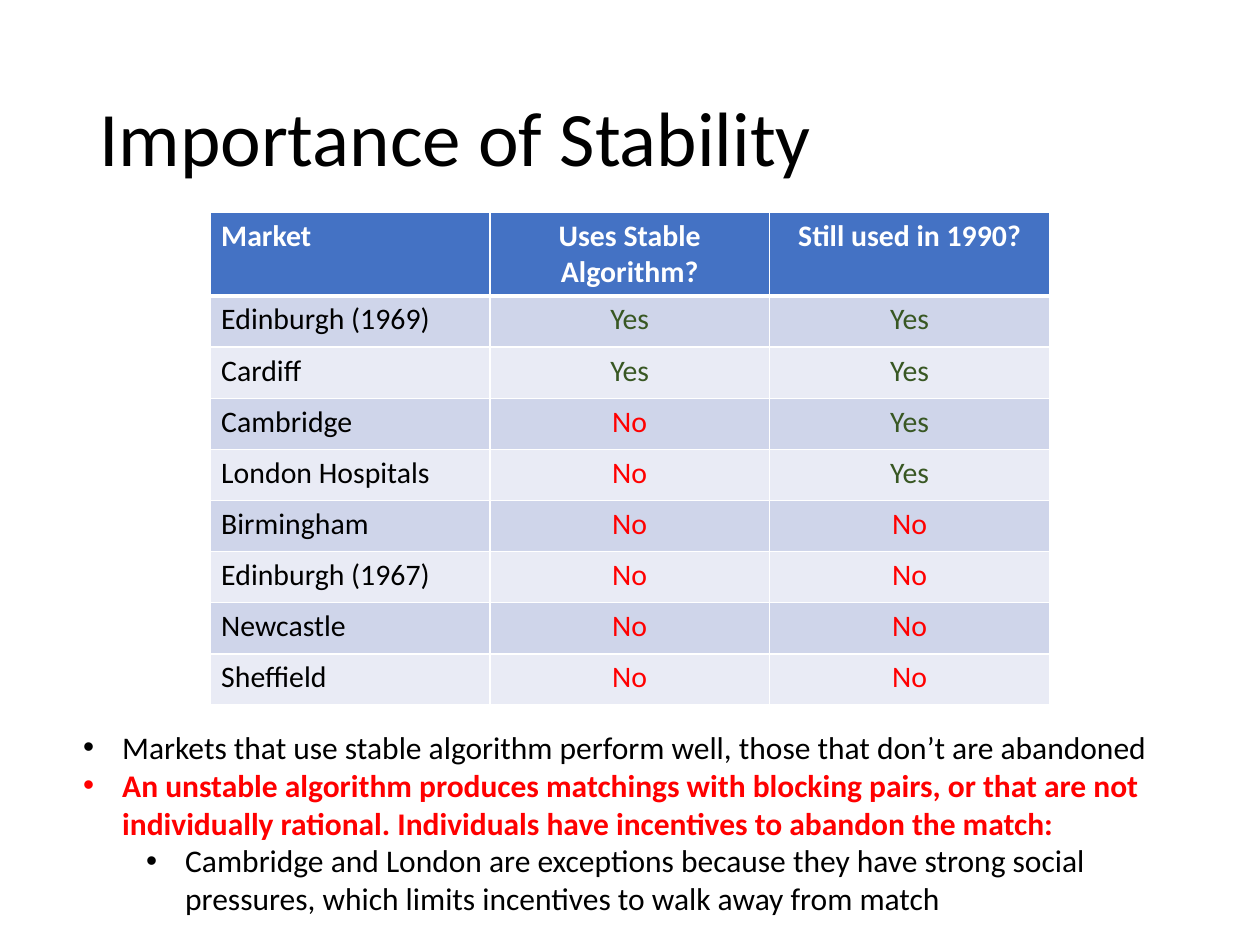
from lxml import etree
from pptx import Presentation
from pptx.dml.color import RGBColor
from pptx.enum.text import MSO_ANCHOR, MSO_AUTO_SIZE, PP_ALIGN
from pptx.oxml.ns import qn
from pptx.util import Cm, Pt

LEFT, MID = PP_ALIGN.LEFT, PP_ALIGN.CENTER
TOP, CENTER = MSO_ANCHOR.TOP, MSO_ANCHOR.MIDDLE
NO_FIT = MSO_AUTO_SIZE.NONE
BLACK, WHITE, RED, GREEN = "000000", "FFFFFF", "FF0000", "385723"
BLUE, BANDS = "4472C4", ("CFD5EA", "E9EBF5")
TINTS = {"Yes": GREEN, "No": RED}

HEAD = ("Market", "Uses Stable Algorithm?", "Still used in 1990?")
ROWS = (
    ("Edinburgh (1969)", "Yes", "Yes"),
    ("Cardiff", "Yes", "Yes"),
    ("Cambridge", "No", "Yes"),
    ("London Hospitals", "No", "Yes"),
    ("Birmingham", "No", "No"),
    ("Edinburgh (1967)", "No", "No"),
    ("Newcastle", "No", "No"),
    ("Sheffield", "No", "No"),
)
POINTS = (
    ("Markets that use stable algorithm perform well, those that don’t are "
     "abandoned", 0, BLACK, False),
    ("An unstable algorithm produces matchings with blocking pairs, or that "
     "are not individually rational. Individuals have incentives to abandon "
     "the match:", 0, RED, True),
    ("Cambridge and London are exceptions because they have strong social "
     "pressures, which limits incentives to walk away from match",
     1, BLACK, False),
)


def paint(code):
    return RGBColor.from_string(code)


def write(para, text, font="Calibri", size=18, color=BLACK, bold=False,
          align=LEFT, lead=1.0):
    run = para.add_run()
    run.text = text
    run.font.name = font
    run.font.size = Pt(size)
    run.font.bold = bold
    run.font.color.rgb = paint(color)
    para.alignment = align
    para.line_spacing = lead
    para.space_before = para.space_after = Pt(0)


def edge(cell, sides):
    props = cell._tc.get_or_add_tcPr()
    for spot, (side, width) in enumerate(sides.items()):
        line = etree.Element(qn("a:ln" + side), w=str(Pt(width)))
        fill = etree.SubElement(line, qn("a:solidFill"))
        etree.SubElement(fill, qn("a:srgbClr"), val=WHITE)
        props.insert(spot, line)


class Deck:
    def __init__(self, font):
        self.font = font
        self.show = Presentation()
        self.show.slide_width, self.show.slide_height = Cm(25.4), Cm(19.05)
        self.slide = self.show.slides.add_slide(self.show.slide_layouts[1])

    def place(self, shape, box, anchor):
        shape.left, shape.top, shape.width, shape.height = map(Cm, box)
        frame = shape.text_frame
        frame.word_wrap = True
        frame.auto_size = NO_FIT
        frame.vertical_anchor = anchor
        return frame

    def title(self, text, box):
        frame = self.place(self.slide.shapes.title, box, CENTER)
        write(frame.paragraphs[0], text, font=self.font, size=44, lead=0.9)

    def table(self, head, rows, box, tall, low):
        grid = self.slide.shapes.add_table(
            len(rows) + 1, len(head), *map(Cm, box)).table
        for r, row in enumerate((head, *rows)):
            top = r == 0
            grid.rows[r].height = Cm(tall if top else low)
            for c, text in enumerate(row):
                cell = grid.cell(r, c)
                cell.margin_left = cell.margin_right = Cm(0.23)
                cell.margin_top = cell.margin_bottom = Cm(0.11)
                cell.fill.solid()
                cell.fill.fore_color.rgb = paint(
                    BLUE if top else BANDS[(r - 1) % 2])
                edge(cell, {"L": 1, "R": 1, "T": 3 if r == 1 else 1,
                            "B": 3 if top else 1})
                write(cell.text_frame.paragraphs[0], text, font=self.font,
                      size=17, bold=top, align=MID if c else LEFT,
                      color=WHITE if top else TINTS.get(text, BLACK))

    def points(self, items, box):
        frame = self.place(self.slide.placeholders[1], box, TOP)
        for n, (text, level, color, bold) in enumerate(items):
            para = frame.add_paragraph() if n else frame.paragraphs[0]
            para.level = level
            props = para._p.get_or_add_pPr()
            props.set("marL", str(Cm(0.79 + 1.27 * level)))
            props.set("indent", str(-Cm(0.79)))
            etree.SubElement(props, qn("a:buFont"), typeface="Arial")
            etree.SubElement(props, qn("a:buChar"), char="•")
            write(para, text, font=self.font, color=color, bold=bold)

    def save(self):
        self.show.save("out.pptx")


def main():
    deck = Deck("Calibri")
    deck.title("Importance of Stability", (1.75, 1.01, 21.9, 3.68))
    deck.table(HEAD, ROWS, (4.23, 4.28, 16.93, 9.93), 1.69, 1.03)
    deck.points(POINTS, (1.42, 14.55, 22.22, 4.11))
    deck.save()


if __name__ == "__main__":
    main()
